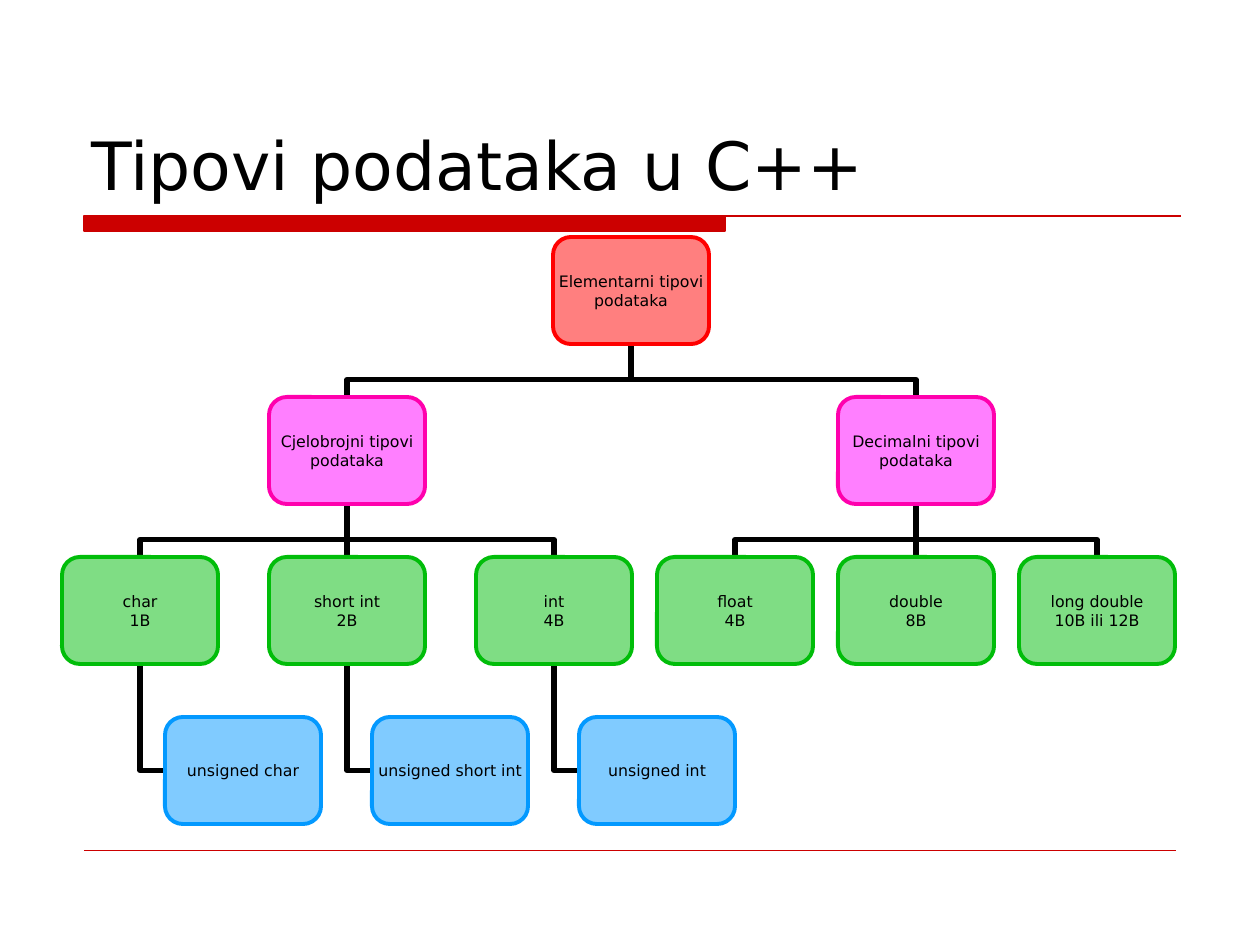
from lxml.etree import SubElement
from pptx import Presentation
from pptx.dml.color import RGBColor
from pptx.enum.shapes import MSO_CONNECTOR, MSO_SHAPE
from pptx.enum.text import MSO_ANCHOR, MSO_AUTO_SIZE, PP_ALIGN
from pptx.oxml.ns import qn
from pptx.util import Emu, Pt

EMU_PER_PIXEL = 914400 / 126
BOX_WIDTH, BOX_HEIGHT = 156, 107
FIRST_TOP, ROW_STEP = 237, 160
UNSIGNED_SHIFT = 103
LINE_GAP = 1

# Fill and outline of each level of the tree
LEVEL_COLORS = [
    ("FF0000", "FF0000"),
    ("FF00FF", "FF00AD"),
    ("01BD0A", "01BD0A"),
    ("0399FF", "0399FF"),
]
ROOT = ("Elementarni tipovi podataka", 631)
# Each family: label, centre, distance between types, types
FAMILIES = [
    ("Cjelobrojni tipovi podataka", 347, 207, ["char\n1B", "short int\n2B", "int\n4B"]),
    ("Decimalni tipovi podataka", 916, 181, ["float\n4B", "double\n8B", "long double\n10B ili 12B"]),
]
UNSIGNED_TYPES = ["unsigned char", "unsigned short int", "unsigned int"]


def px(length):
    return Emu(round(length * EMU_PER_PIXEL))


def color(code):
    return RGBColor.from_string(code)


def row_top(level):
    return FIRST_TOP + ROW_STEP * level


class TreeSlide:
    font = "DejaVu Sans"
    ink = "000000"
    accent = "CC0000"

    def __init__(self, deck):
        self.page = deck.slides.add_slide(deck.slide_layouts[5])

    def set_text(self, shape, text, size, align, frame_format):
        frame = shape.text_frame
        for name, value in frame_format.items():
            setattr(frame, name, value)
        frame.text = text
        for para in frame.paragraphs:
            para.alignment = align
            para.font.name = self.font
            para.font.size = Pt(size)
            para.font.color.rgb = color(self.ink)

    def title(self, text):
        box = self.page.shapes.title
        place = {"left": 79, "top": 42, "width": 1102, "height": 168}
        for name, value in place.items():
            setattr(box, name, px(value))
        self.set_text(box, text, 38, PP_ALIGN.LEFT, {
            "vertical_anchor": MSO_ANCHOR.BOTTOM,
            "auto_size": MSO_AUTO_SIZE.NONE,
            "word_wrap": True,
        })

    def title_rule(self, left, top, right, bar_right, bar_bottom):
        """Draw a thick bar whose top edge runs on as a thin line."""
        builder = self.page.shapes.build_freeform(px(left), px(top))
        bar = [(bar_right, top), (bar_right, bar_bottom), (left, bar_bottom)]
        builder.add_line_segments([(px(x), px(y)) for x, y in bar], close=True)
        builder.move_to(px(left), px(top))
        builder.add_line_segments([(px(right), px(top))], close=False)
        rule = builder.convert_to_shape()
        rule.shadow.inherit = False
        rule.fill.solid()
        rule.fill.fore_color.rgb = color(self.accent)
        rule.line.color.rgb = color(self.accent)
        rule.line.width = Pt(0.75)

    def line(self, kind, start, end, code, width):
        points = [px(value) for value in (*start, *end)]
        line = self.page.shapes.add_connector(kind, *points)
        line.line.color.rgb = color(code)
        line.line.width = Pt(width)
        SubElement(line.element.spPr, qn("a:effectLst"))
        return line

    def elbow(self, start, end, degrees):
        line = self.line(MSO_CONNECTOR.ELBOW, start, end, self.ink, 3)
        properties = line.element.spPr
        properties.find(qn("a:xfrm")).set("rot", str(degrees * 60000))
        return properties.find(qn("a:prstGeom"))

    def branch(self, parent, child, level):
        """Join a child's top to its parent's bottom, turning at a third."""
        low = row_top(level) - LINE_GAP
        high = row_top(level - 1) + BOX_HEIGHT + LINE_GAP
        middle_x, middle_y = (parent + child) / 2, (low + high) / 2
        half_width, half_height = (low - high) / 2, abs(child - parent) / 2
        # The preset runs sideways, so it is laid out flat and then turned.
        turn, side = (90, 1) if child < parent else (270, -1)
        start = (middle_x + side * half_width, middle_y + half_height)
        end = (middle_x - side * half_width, middle_y - half_height)
        geometry = self.elbow(start, end, turn)
        SubElement(geometry.find(qn("a:avLst")), qn("a:gd"), name="adj1", fmla="val 32000")

    def hook(self, parent, child, level):
        """Join a child's left side to its parent's bottom with one corner."""
        top = row_top(level - 1) + BOX_HEIGHT + LINE_GAP
        middle = row_top(level) + BOX_HEIGHT / 2
        left = child - BOX_WIDTH / 2 - LINE_GAP
        self.elbow((parent, top), (left, middle), 180).set("prst", "bentConnector2")

    def node(self, text, center, level):
        fill, outline = LEVEL_COLORS[level]
        place = (center - BOX_WIDTH / 2, row_top(level), BOX_WIDTH, BOX_HEIGHT)
        box = self.page.shapes.add_shape(MSO_SHAPE.ROUNDED_RECTANGLE, *map(px, place))
        box.shadow.inherit = False
        box.fill.solid()
        box.fill.fore_color.rgb = color(fill)
        tint = box.element.spPr.find(qn("a:solidFill")).find(qn("a:srgbClr"))
        SubElement(tint, qn("a:alpha"), val="50000")
        box.line.color.rgb = color(outline)
        box.line.width = Pt(2.25)
        self.set_text(box, text, 9, PP_ALIGN.CENTER, {
            "margin_left": 0, "margin_right": 0,
            "margin_top": 0, "margin_bottom": 0,
            "vertical_anchor": MSO_ANCHOR.MIDDLE,
            "word_wrap": level < 2,
        })


def main():
    deck = Presentation()
    deck.slide_width, deck.slide_height = px(1260), px(945)
    slide = TreeSlide(deck)
    slide.title_rule(84, 216, 1181, 725, 231)
    slide.line(MSO_CONNECTOR.STRAIGHT, (84, 850), (1176, 850), slide.accent, 0.25)
    slide.title("Tipovi podataka u C++")

    root_label, root_center = ROOT
    nodes = [(root_label, root_center, 0)]
    branches, hooks = [], []
    for label, center, step, types in FAMILIES:
        nodes.append((label, center, 1))
        branches.append((root_center, center, 1))
        for index, name in enumerate(types):
            type_center = center + (index - 1) * step
            nodes.append((name, type_center, 2))
            branches.append((center, type_center, 2))
    whole_center, whole_step = FAMILIES[0][1:3]
    for index, name in enumerate(UNSIGNED_TYPES):
        parent = whole_center + (index - 1) * whole_step
        nodes.append((name, parent + UNSIGNED_SHIFT, 3))
        hooks.append((parent, parent + UNSIGNED_SHIFT, 3))

    for link in hooks:
        slide.hook(*link)
    for link in branches:
        slide.branch(*link)
    for node in nodes:
        slide.node(*node)
    deck.save("out.pptx")


if __name__ == "__main__":
    main()
